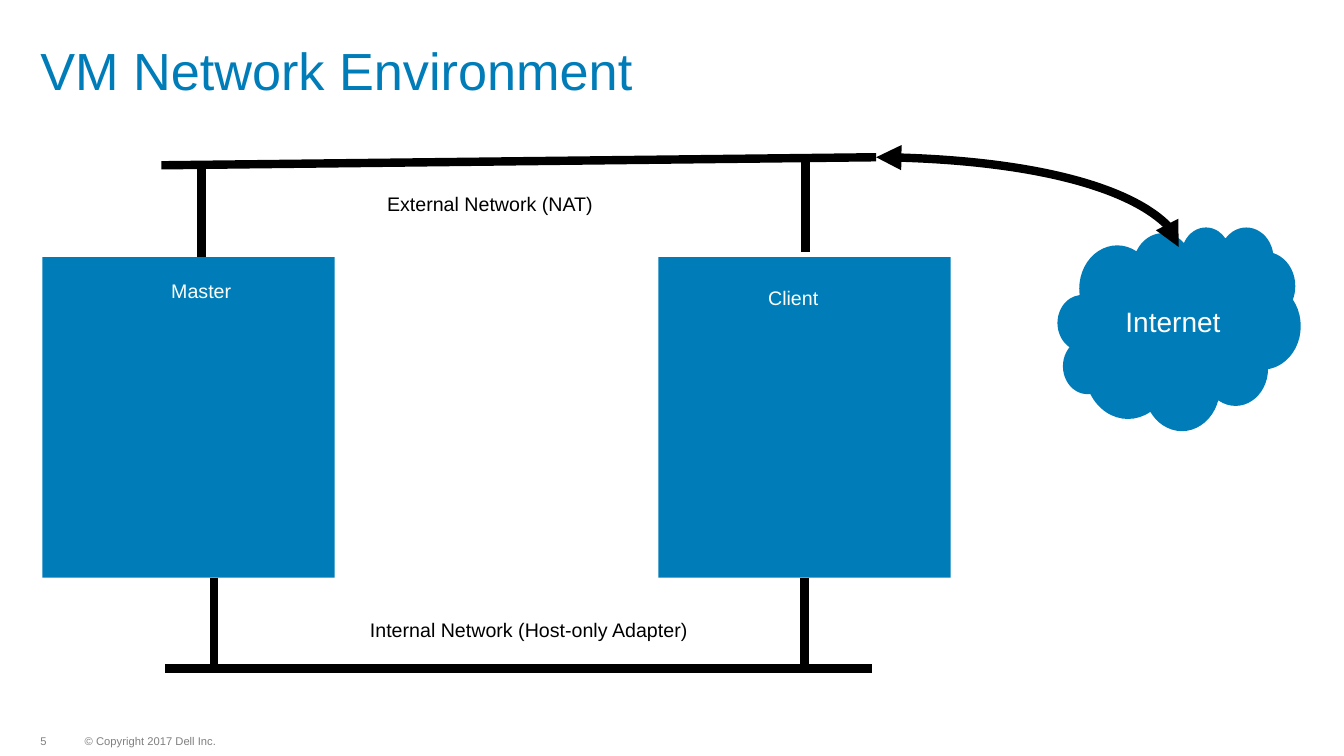
from lxml import etree
from pptx import Presentation
from pptx.dml.color import RGBColor
from pptx.enum import shapes, text
from pptx.oxml import ns
from pptx.util import Inches, Pt

BLUE, BLACK, WHITE = "007DB8", "000000", "FFFFFF"
LABEL_WHITE, COPYRIGHT_GREY, NUMBER_GREY = "FDFFFB", "7F7F7F", "808080"
VM_WIDTH, VM_HEIGHT = 2.9, 3.18


def color(hex_value):
    return RGBColor.from_string(hex_value)


def write(frame, words, size, hex_value, insets=(0.1, 0.05, 0.1, 0.05),
          anchor=text.MSO_ANCHOR.TOP, align=text.PP_ALIGN.LEFT,
          wrap=True, spacing=None):
    frame.word_wrap = wrap
    frame.auto_size = text.MSO_AUTO_SIZE.NONE
    frame.vertical_anchor = anchor
    (frame.margin_left, frame.margin_top,
     frame.margin_right, frame.margin_bottom) = map(Inches, insets)
    paragraph = frame.paragraphs[0]
    paragraph.alignment = align
    paragraph.line_spacing = spacing
    run = paragraph.add_run()
    run.text = words
    run.font.name = "Arial"
    run.font.size = Pt(size)
    run.font.color.rgb = color(hex_value)


def add_label(slide, box, words, size=14, hex_value=BLACK, **layout):
    label = slide.shapes.add_textbox(*map(Inches, box))
    write(label.text_frame, words, size, hex_value, **layout)


def add_block(slide, preset, box):
    block = slide.shapes.add_shape(preset, *map(Inches, box))
    block.shadow.inherit = False
    block.fill.solid()
    block.fill.fore_color.rgb = color(BLUE)
    block.line.fill.background()
    return block


def add_cable(slide, start, end, kind=shapes.MSO_CONNECTOR.STRAIGHT):
    cable = slide.shapes.add_connector(kind, *map(Inches, start + end))
    cable.line.color.rgb = color(BLACK)
    cable.line.width = Pt(6)
    etree.SubElement(cable._element.spPr, ns.qn("a:effectLst"))
    return cable


def add_title(slide, box):
    title = slide.shapes.title
    title.left, title.top, title.width, title.height = map(Inches, box)
    write(title.text_frame, "VM Network Environment", 37.3, BLUE,
          insets=(0, 0.05, 0, 0.05), spacing=0.9)


def add_vm(slide, left, top, name, label_x, label_y):
    vm = add_block(slide, shapes.MSO_SHAPE.RECTANGLE,
                   (left, top, VM_WIDTH, VM_HEIGHT))
    add_label(slide, (left + label_x, top + label_y, 0.93, 0.34), name,
              hex_value=LABEL_WHITE)
    return vm


def add_external_network(slide, left, top):
    add_cable(slide, (left, top + 0.08), (left + 7.09, top))
    add_cable(slide, (left + 0.4, top + 0.08), (left + 0.4, top + 0.99))
    add_cable(slide, (left + 6.39, top + 0.04), (left + 6.39, top + 0.94))
    add_label(slide, (left + 2.14, top + 0.3, 2.81, 0.34),
              "External Network (NAT)")


def add_internal_network(slide, left, top, client):
    bus = top + 0.9
    add_cable(slide, (left, bus), (left + 7.01, bus))
    add_cable(slide, (left + 0.48, top), (left + 0.48, bus))
    client_drop = add_cable(slide, (left + 6.34, top), (left + 6.34, bus))
    client_drop.begin_connect(client, 2)
    add_label(slide, (left + 1.93, top + 0.35, 3.45, 0.34),
              "Internal Network (Host-only Adapter)")


def add_internet(slide, left, top):
    internet = add_block(slide, shapes.MSO_SHAPE.CLOUD, (left, top, 2.41, 2.02))
    write(internet.text_frame, "Internet", 20, WHITE,
          insets=(0.2, 0.15, 0.15, 0.15), anchor=text.MSO_ANCHOR.MIDDLE,
          align=text.PP_ALIGN.CENTER, spacing=0.9)
    uplink = add_cable(slide, (left - 1.8, top - 0.69), (left + 1.2, top + 0.2),
                       shapes.MSO_CONNECTOR.CURVE)
    uplink._element.spPr.find(ns.qn("a:prstGeom")).set("prst", "curvedConnector2")
    outline = uplink.line._get_or_add_ln()
    for arrow in ("a:headEnd", "a:tailEnd"):
        etree.SubElement(outline, ns.qn(arrow), type="triangle")


def add_footer(slide, left, top):
    layout = dict(insets=(0, 0, 0, 0), anchor=text.MSO_ANCHOR.MIDDLE,
                  wrap=False, spacing=0.9)
    add_label(slide, (left, top, 0.14, 0.12), "5", 8, NUMBER_GREY, **layout)
    add_label(slide, (left + 0.44, top, 1.32, 0.12),
              "© Copyright 2017 Dell Inc.", 8, COPYRIGHT_GREY, **layout)


def main():
    deck = Presentation()
    deck.slide_width, deck.slide_height = Inches(13.33), Inches(7.5)
    slide = deck.slides.add_slide(deck.slide_layouts[5])
    add_title(slide, (0.4, 0.4, 11.6, 0.93))
    add_vm(slide, 0.42, 2.55, "Master", 1.18, 0.17)
    client = add_vm(slide, 6.53, 2.55, "Client", 0.99, 0.24)
    add_external_network(slide, 1.6, 1.56)
    add_internal_network(slide, 1.64, 5.73, client)
    add_internet(slide, 10.49, 2.25)
    add_footer(slide, 0.4, 7.3)
    deck.save("out.pptx")


if __name__ == "__main__":
    main()
